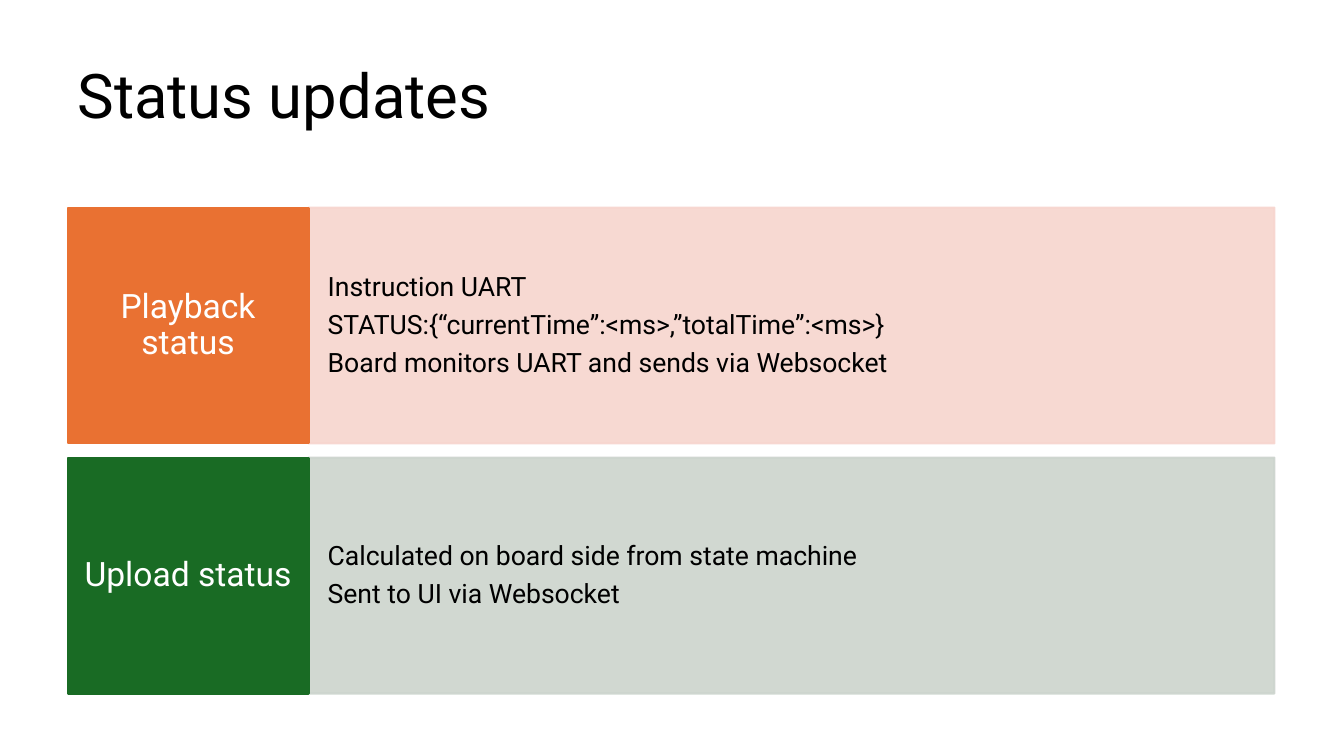
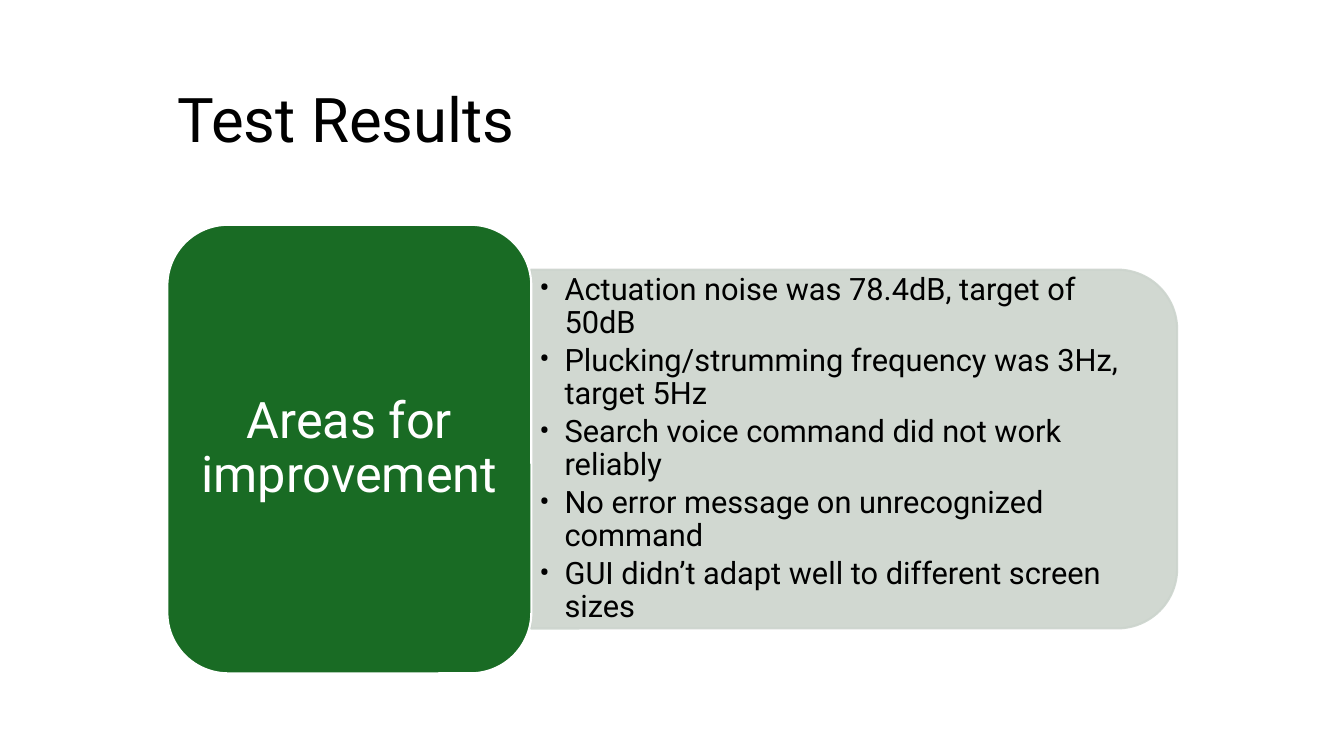
from dataclasses import dataclass

import lxml.etree
import pptx
import pptx.dml.color
import pptx.enum.shapes
import pptx.enum.text
import pptx.oxml.ns
import pptx.util

Inches = pptx.util.Inches
Pt = pptx.util.Pt
SHAPE = pptx.enum.shapes.MSO_SHAPE
ANCHOR = pptx.enum.text.MSO_ANCHOR
ALIGN = pptx.enum.text.PP_ALIGN
qn = pptx.oxml.ns.qn


@dataclass(frozen=True)
class Theme:
    font: str = "Roboto"
    black: str = "000000"
    white: str = "FFFFFF"
    orange: str = "E97132"
    pale_orange: str = "F7D5CE"
    green: str = "196B24"
    pale_green: str = "CCD4CD"
    pale_opacity: int = 90
    line_width: float = 1.5
    line_spacing: float = 0.9
    title_size: int = 44
    banner_size: int = 36
    label_size: int = 24
    bullet_size: int = 22
    body_size: int = 19


THEME = Theme()


def rgb(value):
    return pptx.dml.color.RGBColor.from_string(value)


# Text
def add_bullet(p, indent=0.25):
    pPr = p._p.get_or_add_pPr()
    pPr.set("marL", str(Inches(indent)))
    pPr.set("indent", str(-Inches(indent)))
    lxml.etree.SubElement(pPr, qn("a:buFont")).set("typeface", THEME.font)
    lxml.etree.SubElement(pPr, qn("a:buChar")).set("char", "•")


def write(tf, lines, size, color, inset=(0.1, 0.05), align=ALIGN.LEFT,
          anchor=ANCHOR.MIDDLE, after=0, bullets=False):
    tf.word_wrap = True
    tf.auto_size = pptx.enum.text.MSO_AUTO_SIZE.NONE
    tf.vertical_anchor = anchor
    tf.margin_left = tf.margin_right = Inches(inset[0])
    tf.margin_top = tf.margin_bottom = Inches(inset[1])
    for i, line in enumerate(lines):
        p = tf.add_paragraph() if i else tf.paragraphs[0]
        p.alignment = align
        p.line_spacing = THEME.line_spacing
        p.space_before = Pt(0)
        p.space_after = Pt(after)
        if bullets:
            add_bullet(p)
        r = p.add_run()
        r.text = line
        r.font.name = THEME.font
        r.font.size = Pt(size)
        r.font.color.rgb = rgb(color)


# Elements
def add_title_slide(prs, title, left, width, anchor):
    s = prs.slides.add_slide(prs.slide_layouts.get_by_name("Title Only"))
    sp = s.shapes.title
    sp.left, sp.top = Inches(left), Inches(0.6)
    sp.width, sp.height = Inches(width), Inches(1.24)
    write(sp.text_frame, [title], THEME.title_size, THEME.black, anchor=anchor)
    return s


def add_panel(s, kind, box, fill, line=None, opacity=100):
    sp = s.shapes.add_shape(kind, *map(Inches, box))
    sp.shadow.inherit = False
    sp.fill.solid()
    sp.fill.fore_color.rgb = rgb(fill)
    sp.line.color.rgb = rgb(line or fill)
    sp.line.width = Pt(THEME.line_width)
    if opacity < 100:
        for color in sp._element.spPr.iter(qn("a:srgbClr")):
            alpha = lxml.etree.SubElement(color, qn("a:alpha"))
            alpha.set("val", str(opacity * 1000))
    return sp


def add_status_row(s, top, label, details, color, pale):
    left, label_width, detail_width, height = 0.67, 2.39, 9.58, 2.34
    sp = add_panel(s, SHAPE.RECTANGLE,
                   (left + label_width, top, detail_width, height),
                   pale, opacity=THEME.pale_opacity)
    write(sp.text_frame, details, THEME.body_size, THEME.black,
          inset=(0.19, 0.6), after=6.6)
    sp = add_panel(s, SHAPE.RECTANGLE, (left, top, label_width, height), color)
    write(sp.text_frame, [label], THEME.label_size, THEME.white,
          inset=(0.13, 0.23), align=ALIGN.CENTER, after=8)


# Slides
def build_status(prs):
    s = add_title_slide(prs, "Status updates", 0.67, 11.97, ANCHOR.TOP)
    rows = [
        ("Playback status",
         ["Instruction UART",
          "STATUS:{“currentTime”:<ms>,”totalTime”:<ms>}",
          "Board monitors UART and sends via Websocket"],
         THEME.orange, THEME.pale_orange),
        ("Upload status",
         ["Calculated on board side from state machine",
          "Sent to UI via Websocket"],
         THEME.green, THEME.pale_green),
    ]
    for i, row in enumerate(rows):
        add_status_row(s, 2.06 + i * 2.48, *row)


def build_results(prs):
    s = add_title_slide(prs, "Test Results", 1.66, 10.02, ANCHOR.MIDDLE)

    # Detail panel, turned so that its rounded end faces right
    sp = add_panel(s, SHAPE.ROUND_2_SAME_RECTANGLE, (6.69, 1.25, 3.56, 6.41),
                   THEME.pale_green, opacity=THEME.pale_opacity)
    sp.rotation = 90
    tb = s.shapes.add_textbox(*map(Inches, (5.26, 2.85, 6.24, 3.21)))
    write(tb.text_frame,
          ["Actuation noise was 78.4dB, target of 50dB",
           "Plucking/strumming frequency was 3Hz, target 5Hz",
           "Search voice command did not work reliably",
           "No error message on unrecognized command",
           "GUI didn’t adapt well to different screen sizes"],
          THEME.bullet_size, THEME.black, inset=(0.09, 0.05), after=3.3,
          bullets=True)

    # Banner
    sp = add_panel(s, SHAPE.ROUNDED_RECTANGLE, (1.66, 2.23, 3.61, 4.45),
                   THEME.green, line=THEME.white)
    write(sp.text_frame, ["Areas for improvement"], THEME.banner_size,
          THEME.white, inset=(0.15, 0.07), align=ALIGN.CENTER, after=12)


def main():
    prs = pptx.Presentation()
    prs.slide_width, prs.slide_height = Inches(13.33), Inches(7.5)
    build_status(prs)
    build_results(prs)
    prs.save("out.pptx")


if __name__ == "__main__":
    main()
